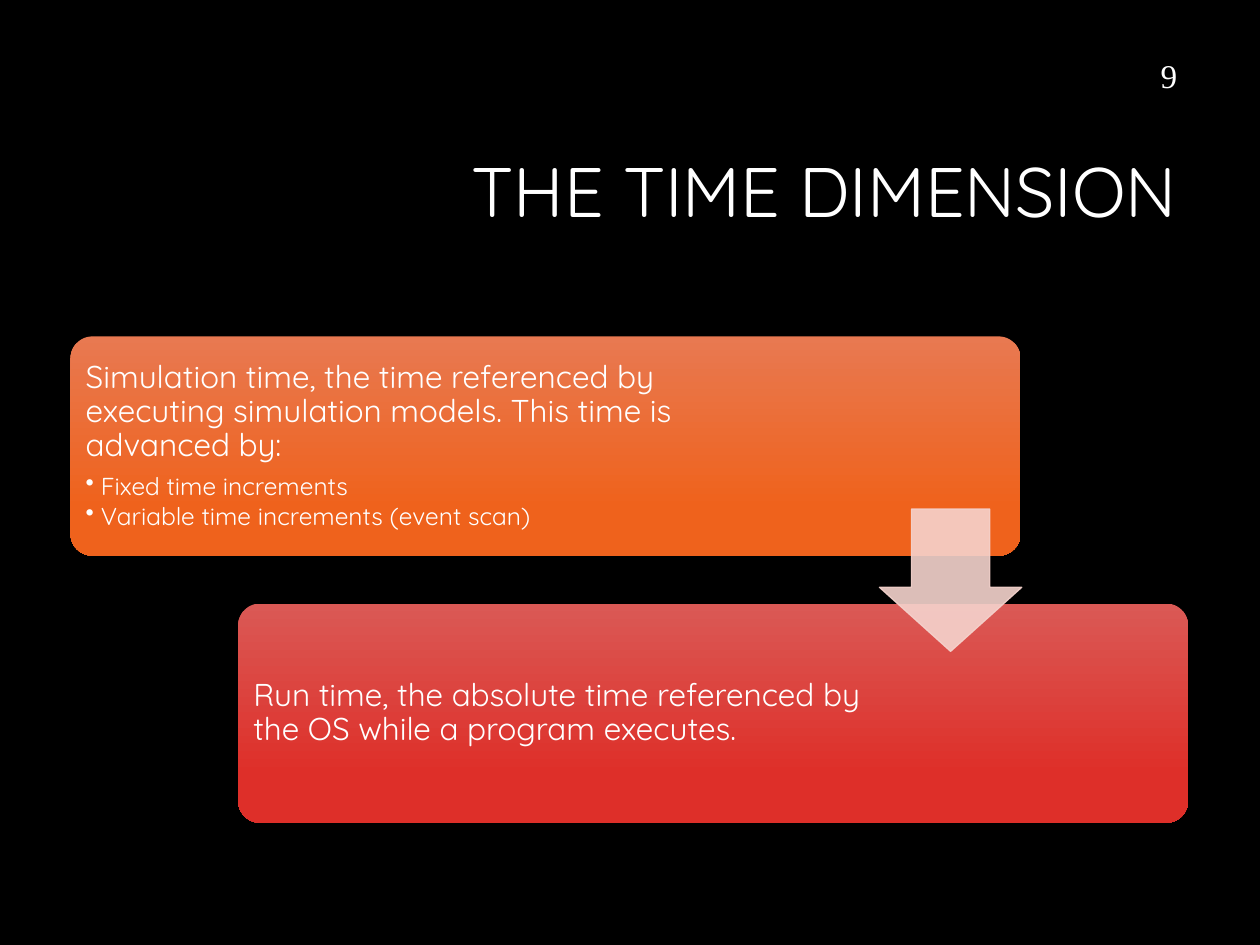
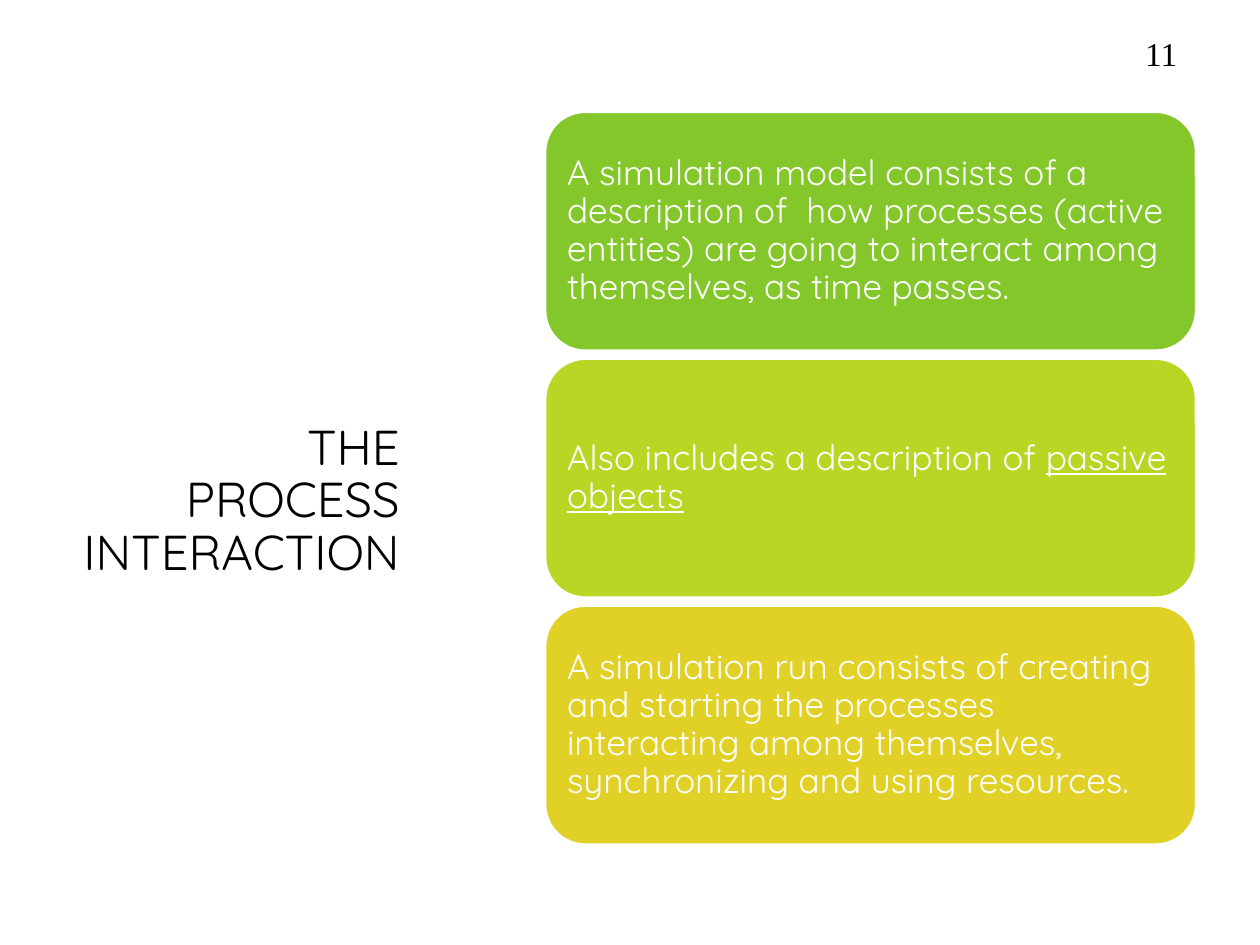
from lxml import etree
from pptx import Presentation
from pptx.dml.color import RGBColor
from pptx.enum.shapes import MSO_SHAPE
from pptx.enum.text import MSO_ANCHOR, PP_ALIGN
from pptx.oxml.ns import qn
from pptx.util import Inches, Pt

ROUNDED = MSO_SHAPE.ROUNDED_RECTANGLE
DOWN_ARROW = MSO_SHAPE.DOWN_ARROW
MIDDLE = MSO_ANCHOR.MIDDLE
LEFT, RIGHT = PP_ALIGN.LEFT, PP_ALIGN.RIGHT

BLACK = RGBColor(0x00, 0x00, 0x00)
WHITE = RGBColor(0xFF, 0xFF, 0xFF)
ORANGE_LIGHT = RGBColor(0xE8, 0x79, 0x51)
ORANGE = RGBColor(0xEF, 0x62, 0x1C)
RED_LIGHT = RGBColor(0xDA, 0x59, 0x55)
RED = RGBColor(0xDE, 0x2F, 0x29)
PINK = RGBColor(0xF5, 0xD3, 0xCD)
GREEN = RGBColor(0x84, 0xC7, 0x2A)
LIME = RGBColor(0xB8, 0xD7, 0x25)
YELLOW = RGBColor(0xE1, 0xD1, 0x26)

TITLE_FONT = "Quicksand"
NUMBER_FONT = "Times New Roman"
BLANK_LAYOUT = 6
GRADIENT_END = 0.78
BULLET_INDENT = 0.12


def apply_format(target, values):
    for name, value in values.items():
        setattr(target, name, value)


def add_slide(presentation, background):
    slide = presentation.slides.add_slide(presentation.slide_layouts[BLANK_LAYOUT])
    slide.background.fill.solid()
    slide.background.fill.fore_color.rgb = background
    return slide


def add_text_box(slide, box, margins=(0.1, 0.05)):
    frame = slide.shapes.add_textbox(*map(Inches, box)).text_frame
    horizontal, vertical = map(Inches, margins)
    apply_format(frame, {
        "word_wrap": True, "vertical_anchor": MIDDLE,
        "margin_left": horizontal, "margin_right": horizontal,
        "margin_top": vertical, "margin_bottom": vertical,
    })
    return frame


def write_paragraph(paragraph, text, size, color, font=TITLE_FONT,
                    alignment=LEFT, space_after=0.0):
    apply_format(paragraph, {
        "alignment": alignment, "line_spacing": 0.9, "space_after": Pt(space_after),
    })
    add_run(paragraph, text, size, color, font)


def add_run(paragraph, text, size, color, font=TITLE_FONT, underline=None):
    run = paragraph.add_run()
    run.text = text
    apply_format(run.font, {"size": Pt(size), "name": font, "underline": underline})
    run.font.color.rgb = color


def add_title(slide, text, box, size, color):
    frame = add_text_box(slide, box)
    write_paragraph(frame.paragraphs[0], text, size, color, alignment=RIGHT)


def add_slide_number(slide, number, top, color):
    frame = add_text_box(slide, (7.19, top, 2.25, 0.4))
    write_paragraph(frame.paragraphs[0], number, 19, color, NUMBER_FONT, RIGHT, 6)


def add_bullet(frame, text):
    paragraph = frame.add_paragraph()
    write_paragraph(paragraph, text, 14, WHITE, space_after=2.1)
    properties = paragraph._p.get_or_add_pPr()
    indent = Inches(BULLET_INDENT)
    properties.set("marL", str(indent))
    properties.set("indent", str(-indent))
    etree.SubElement(properties, qn("a:buChar")).set("char", "•")


def add_preset(slide, kind, box):
    shape = slide.shapes.add_shape(kind, *map(Inches, box))
    shape.shadow.inherit = False
    return shape


def add_gradient_card(slide, left, top, text_width, colors, text):
    card = add_preset(slide, ROUNDED, (left, top, 7.54, 1.74))
    card.adjustments[0] = 0.1
    card.line.fill.background()
    card.fill.gradient()
    card.fill.gradient_angle = 270
    for stop, position, color in zip(card.fill.gradient_stops, (0, GRADIENT_END), colors):
        stop.position = position
        stop.color.rgb = color
    frame = add_text_box(slide, (left + 0.05, top + 0.05, text_width, 1.64), (0.07, 0.07))
    write_paragraph(frame.paragraphs[0], text, 18, WHITE, space_after=6.3)
    return frame


def add_solid_card(slide, top, color, text):
    left, width, height, inset = 4.33, 5.16, 1.89, 0.09
    card = add_preset(slide, ROUNDED, (left, top, width, height))
    card.fill.solid()
    card.fill.fore_color.rgb = color
    card.line.color.rgb = WHITE
    card.line.width = Pt(1)
    box = (left + inset, top + inset, width - 2 * inset, height - 2 * inset)
    paragraph = add_text_box(slide, box, (0.08, 0.08)).paragraphs[0]
    write_paragraph(paragraph, text, 20, WHITE, space_after=7)
    return paragraph


def add_step_arrow(slide, box):
    arrow = add_preset(slide, DOWN_ARROW, box)
    arrow.adjustments[0] = 0.55
    arrow.adjustments[1] = 0.45
    arrow.fill.solid()
    arrow.fill.fore_color.rgb = PINK
    arrow.line.color.rgb = PINK
    arrow.line.width = Pt(0.75)
    for color in arrow._element.spPr.iter(qn("a:srgbClr")):
        etree.SubElement(color, qn("a:alpha")).set("val", "90000")


def build_time_dimension(presentation):
    slide = add_slide(presentation, BLACK)
    add_title(slide, "THE TIME DIMENSION", (2.38, 0.84, 7.06, 1.41), 40, WHITE)
    simulation_time = add_gradient_card(
        slide, 0.56, 2.67, 5.75, (ORANGE_LIGHT, ORANGE),
        "Simulation time, the time referenced by executing simulation models. "
        "This time is advanced by:")
    for text in ("Fixed time increments", "Variable time increments (event scan)"):
        add_bullet(simulation_time, text)
    add_gradient_card(
        slide, 1.89, 4.79, 4.98, (RED_LIGHT, RED),
        "Run time, the absolute time referenced by the OS while a program executes.")
    add_step_arrow(slide, (6.98, 4.04, 1.13, 1.13))
    add_slide_number(slide, "9", 0.42, WHITE)


def build_process_interaction(presentation):
    slide = add_slide(presentation, WHITE)
    add_title(slide, "THE PROCESS INTERACTION", (0.56, 1.17, 2.71, 5.63), 28, BLACK)
    cards = (
        (GREEN, "A simulation model consists of a description of  how processes "
                "(active entities) are going to interact among themselves, as time passes."),
        (LIME, "Also includes a description of "),
        (YELLOW, "A simulation run consists of creating and starting the processes "
                 "interacting among themselves, synchronizing and using resources."),
    )
    paragraphs = [add_solid_card(slide, 0.89 + 1.96 * index, color, text)
                  for index, (color, text) in enumerate(cards)]
    add_run(paragraphs[1], "passive objects", 20, WHITE, underline=True)
    add_slide_number(slide, "11", 0.24, BLACK)


def main():
    presentation = Presentation()
    presentation.slide_width = Inches(10)
    presentation.slide_height = Inches(7.5)
    build_time_dimension(presentation)
    build_process_interaction(presentation)
    presentation.save("out.pptx")


if __name__ == "__main__":
    main()
